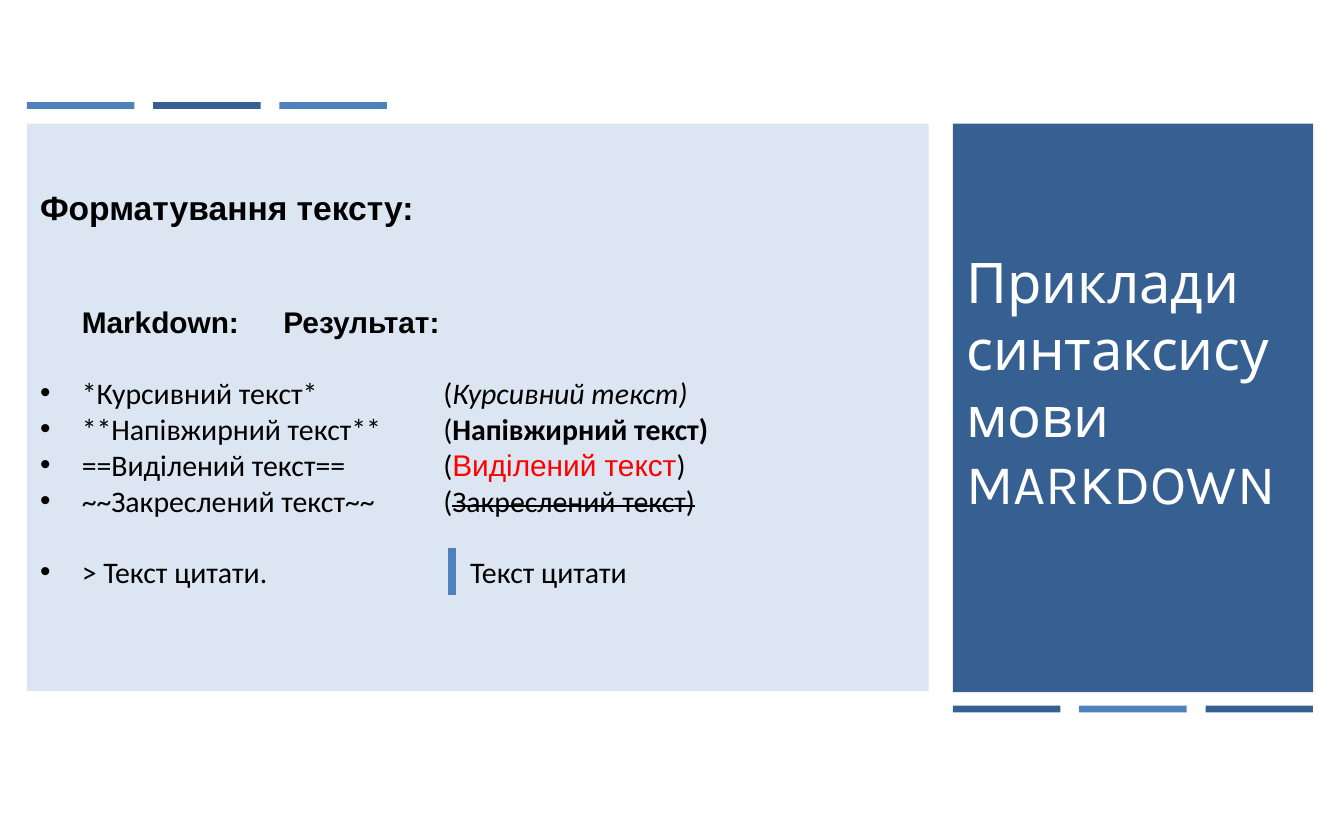
from collections import namedtuple
from dataclasses import dataclass

from lxml import etree
from pptx import Presentation
from pptx import util as u
from pptx.dml.color import RGBColor
from pptx.enum import shapes, text
from pptx.oxml.ns import qn

PX = 9144  # EMU in one px: 100 px to the inch
Box = namedtuple("Box", "left top width height")


@dataclass(frozen=True)
class Theme:
    blue: str = "4F81BD"
    dark: str = "376092"
    pale: str = "DCE6F2"
    white: str = "FFFFFF"
    black: str = "000000"
    red: str = "FF0000"
    title_font: str = "Karla"
    heading_font: str = "Arial"
    body_font: str = "Calibri"
    title_size: int = 30
    heading_size: int = 18
    body_size: int = 16


THEME = Theme()
BODY = {"name": THEME.body_font, "size": u.Pt(THEME.body_size), "color": THEME.black}
COLUMN_HEAD = {**BODY, "name": THEME.heading_font, "bold": True}
HEADING = {**COLUMN_HEAD, "size": u.Pt(THEME.heading_size)}
TITLE = {"name": THEME.title_font, "size": u.Pt(THEME.title_size), "color": THEME.white}

# Markdown source, text of the result, its format, closing mark
EXAMPLES = [
    ("*Курсивний текст*", "Курсивний текст)", {"italic": True}, ""),
    ("**Напівжирний текст**", "Напівжирний текст)", {"bold": True}, ""),
    ("==Виділений текст==", "Виділений текст",
     {"name": THEME.heading_font, "color": THEME.red}, ")"),
    ("~~Закреслений текст~~", "Закреслений текст)", {"strike": "sngStrike"}, ""),
]
INDENT = 31
RESULT_TAB = 300
QUOTE_TAB = 320


def emu(box):
    return [value * PX for value in box]


def add_block(slide, box, color, kind=shapes.MSO_SHAPE.RECTANGLE):
    shape = slide.shapes.add_shape(kind, *emu(box))
    shape.shadow.inherit = False
    shape.fill.solid()
    shape.fill.fore_color.rgb = RGBColor.from_string(color)
    shape.line.fill.background()


def add_text_frame(slide, box):
    frame = slide.shapes.add_textbox(*emu(box)).text_frame
    frame.word_wrap = True
    frame.auto_size = text.MSO_AUTO_SIZE.SHAPE_TO_FIT_TEXT
    return frame


def add_run(paragraph, words, formats):
    run = paragraph.add_run()
    run.text = words
    for name, value in formats.items():
        if name == "color":
            run.font.color.rgb = RGBColor.from_string(value)
        elif name == "strike":
            run._r.get_or_add_rPr().set("strike", value)
        else:
            setattr(run.font, name, value)


def add_row(frame, tab, bullet=True, space=0):
    """Add an indented paragraph with one tab stop for the result column."""
    paragraph = frame.add_paragraph()
    paragraph.space_before = u.Pt(space)
    properties = paragraph._p.get_or_add_pPr()
    properties.set("marL", str(INDENT * PX))
    properties.set("indent", str(-INDENT * PX if bullet else 0))
    if bullet:
        etree.SubElement(properties, qn("a:buFont"), typeface=THEME.heading_font)
        etree.SubElement(properties, qn("a:buChar"), char="•")
    tabs = etree.SubElement(properties, qn("a:tabLst"))
    etree.SubElement(tabs, qn("a:tab"), pos=str(tab * PX), algn="l")
    return paragraph


def add_strip(slide, box, colors):
    """Three equal bars with equal gaps."""
    gap = 14
    width = (box.width - gap * (len(colors) - 1)) // len(colors)
    for index, color in enumerate(colors):
        left = box.left + index * (width + gap)
        add_block(slide, Box(left, box.top, width, box.height), color)


def add_title_panel(slide, box):
    add_block(slide, box, THEME.dark)
    frame = add_text_frame(slide, Box(box.left, box.top + 87, box.width, 205))
    add_run(frame.paragraphs[0], "Приклади синтаксису мови MARKDOWN", TITLE)


def add_examples_panel(slide, box):
    add_block(slide, box, THEME.pale)
    frame = add_text_frame(slide, Box(box.left, box.top + 42, box.width, 313))

    # Headings
    add_run(frame.paragraphs[0], "Форматування тексту:", HEADING)
    paragraph = add_row(frame, RESULT_TAB, bullet=False, space=41)
    add_run(paragraph, "Markdown:\tРезультат:", COLUMN_HEAD)

    # Source and result of each example
    for index, (source, result, formats, closing) in enumerate(EXAMPLES):
        paragraph = add_row(frame, RESULT_TAB, space=0 if index else 19)
        add_run(paragraph, f"{source}\t(", BODY)
        add_run(paragraph, result, {**BODY, **formats})
        if closing:
            add_run(paragraph, closing, BODY)

    # Quotation with its side bar
    paragraph = add_row(frame, QUOTE_TAB, space=19)
    add_run(paragraph, "> Текст цитати.\tТекст цитати", BODY)
    bar = Box(box.left + 312, box.top + 259, 8, 148)
    add_block(slide, bar, THEME.blue, shapes.MSO_SHAPE.MATH_MINUS)


def main():
    presentation = Presentation()
    presentation.slide_width, presentation.slide_height = 1000 * PX, 625 * PX
    slide = presentation.slides.add_slide(presentation.slide_layouts[6])
    add_strip(slide, Box(20, 76, 268, 5), [THEME.blue, THEME.dark, THEME.blue])
    add_strip(slide, Box(709, 525, 268, 5), [THEME.dark, THEME.blue, THEME.dark])
    add_title_panel(slide, Box(709, 92, 268, 423))
    add_examples_panel(slide, Box(20, 92, 671, 422))
    presentation.save("out.pptx")


if __name__ == "__main__":
    main()
